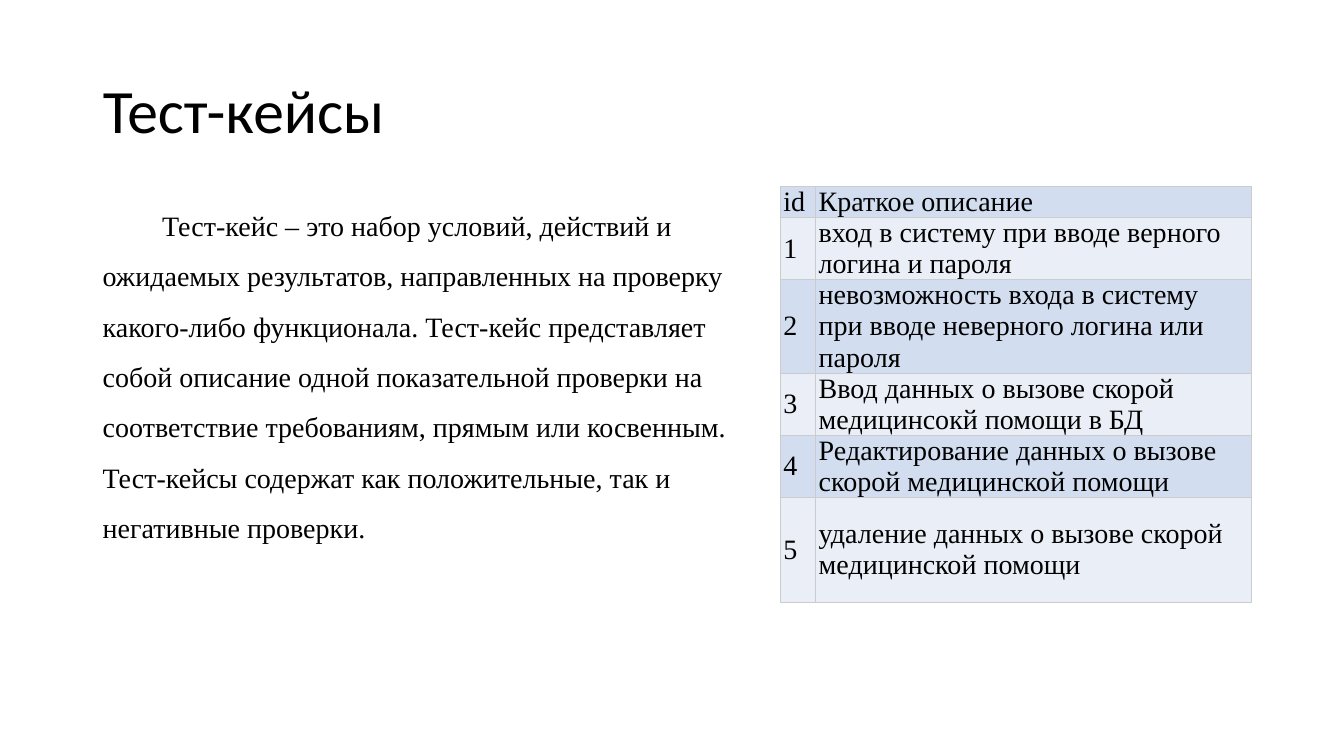
from lxml.etree import SubElement
from pptx import Presentation
from pptx.dml.color import RGBColor
from pptx.enum.text import MSO_ANCHOR as Anchor, MSO_AUTO_SIZE as AutoSize, PP_ALIGN as Align
from pptx.oxml.ns import qn
from pptx.util import Inches, Pt

TITLE = "Тест-кейсы"
DEFINITION = (
    "Тест-кейс – это набор условий, действий и ожидаемых результатов, "
    "направленных на проверку какого-либо функционала. Тест-кейс представляет "
    "собой описание одной показательной проверки на соответствие требованиям, "
    "прямым или косвенным. Тест-кейсы содержат как положительные, так и "
    "негативные проверки."
)
HEADER = ("id", "Краткое описание")
TEST_CASES = [
    "вход в систему при вводе верного логина и пароля",
    "невозможность входа в систему при вводе неверного логина или пароля",
    "Ввод данных о вызове скорой медицинсокй помощи в БД",
    "Редактирование данных о вызове скорой медицинской помощи",
    "удаление данных о вызове скорой медицинской помощи",
]
COLUMN_WIDTHS = (0.35, 4.32)
ROW_HEIGHTS = (0.21, 0.21, 0.21, 0.28, 0.28, 1.04)
LEFT, TABLE_LEFT, CONTENT_TOP = 0.92, 7.74, 1.85

BLACK = RGBColor(0x00, 0x00, 0x00)
BORDER = RGBColor(0xCC, 0xCC, 0xCC)
BANDS = (RGBColor(0xD2, 0xDE, 0xEF), RGBColor(0xEA, 0xEF, 0xF7))
TITLE_FONT, TEXT_FONT = "Calibri", "Times New Roman"


def add_span(para, text, font_name, size):
    span = para.add_run()
    span.text = text
    span.font.name = font_name
    span.font.size = Pt(size)
    span.font.color.rgb = BLACK


def add_borders(cell):
    properties = cell._tc.get_or_add_tcPr()
    for side in ("a:lnL", "a:lnR", "a:lnT", "a:lnB"):
        line = SubElement(properties, qn(side), w=str(Pt(0.75)))
        fill = SubElement(line, qn("a:solidFill"))
        SubElement(fill, qn("a:srgbClr"), val=str(BORDER))


def add_title(page):
    title = page.shapes.title
    title.left, title.top = Inches(LEFT), Inches(0.4)
    title.width, title.height = Inches(11.5), Inches(1.45)
    frame = title.text_frame
    frame.auto_size = AutoSize.NONE
    frame.vertical_anchor = Anchor.MIDDLE
    para = frame.paragraphs[0]
    para.alignment = Align.LEFT
    para.line_spacing = 0.9
    add_span(para, TITLE, TITLE_FONT, 44)


def add_definition(page):
    box = page.shapes.add_textbox(
        Inches(LEFT), Inches(CONTENT_TOP), Inches(6.67), Inches(3.58))
    frame = box.text_frame
    frame.word_wrap = True
    frame.auto_size = AutoSize.SHAPE_TO_FIT_TEXT
    para = frame.paragraphs[0]
    para.line_spacing = 1.5
    para._p.get_or_add_pPr().set("indent", str(Inches(0.59)))
    add_span(para, DEFINITION, TEXT_FONT, 20)


def add_case_table(page):
    rows = [HEADER] + [(str(number), text) for number, text in enumerate(TEST_CASES, 1)]
    table = page.shapes.add_table(
        len(rows), len(HEADER), Inches(TABLE_LEFT), Inches(CONTENT_TOP),
        Inches(sum(COLUMN_WIDTHS)), Inches(sum(ROW_HEIGHTS))).table
    table.first_row = table.horz_banding = False
    for column, width in zip(table.columns, COLUMN_WIDTHS):
        column.width = Inches(width)
    for index, (row, height, texts) in enumerate(zip(table.rows, ROW_HEIGHTS, rows)):
        row.height = Inches(height)
        for cell, text in zip(row.cells, texts):
            cell.margin_left = cell.margin_right = Inches(0.03)
            cell.margin_top = cell.margin_bottom = 0
            cell.vertical_anchor = Anchor.MIDDLE if index else Anchor.BOTTOM
            add_borders(cell)
            cell.fill.solid()
            cell.fill.fore_color.rgb = BANDS[index % 2]
            add_span(cell.text_frame.paragraphs[0], text, TEXT_FONT, 20)


def main():
    deck = Presentation()
    deck.slide_width, deck.slide_height = Inches(13.33), Inches(7.5)
    title_only = deck.slide_layouts[5]
    page = deck.slides.add_slide(title_only)
    add_title(page)
    add_case_table(page)
    add_definition(page)
    deck.save("out.pptx")


if __name__ == "__main__":
    main()
